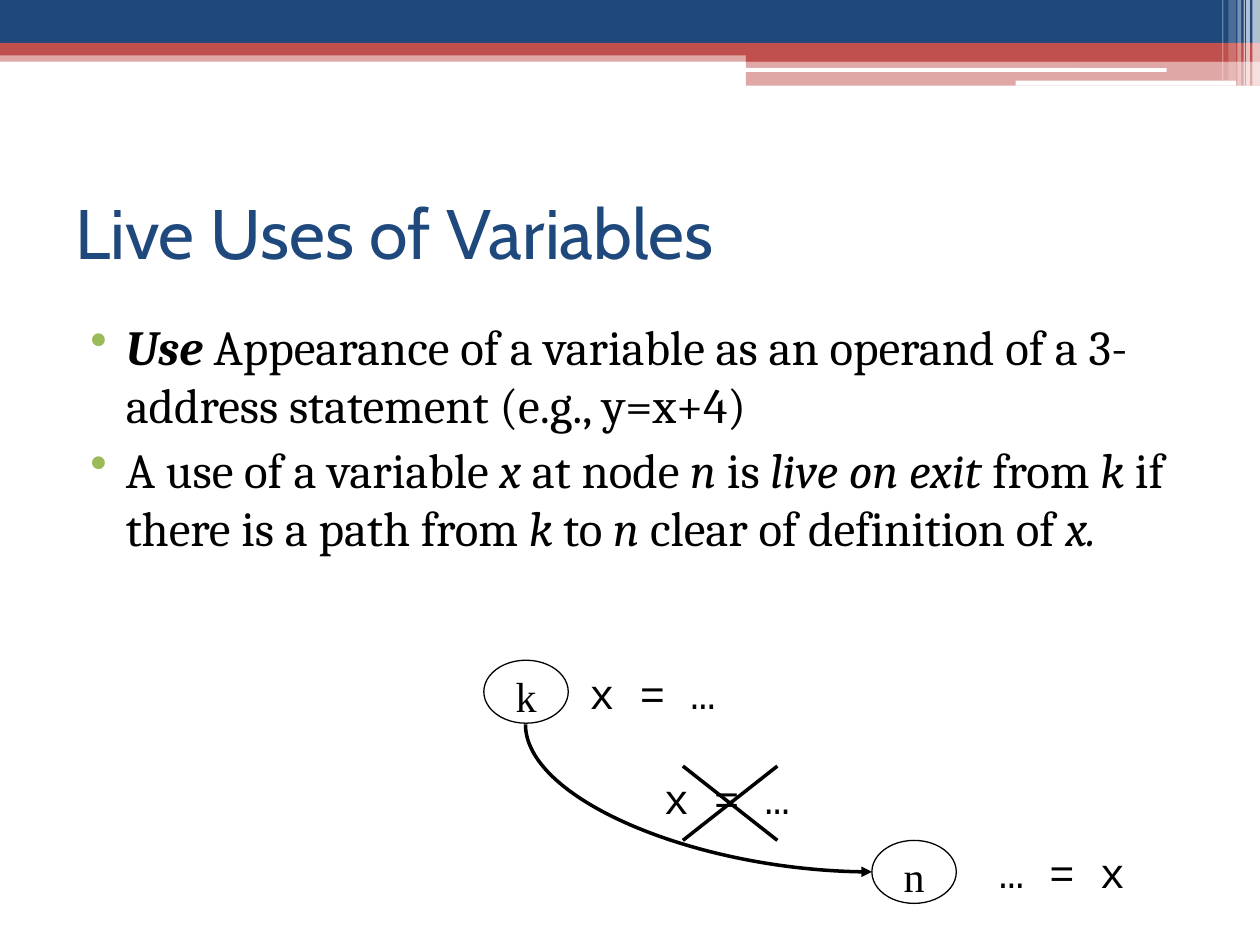
from lxml import etree
from pptx import Presentation
from pptx.dml.color import RGBColor
from pptx.enum import shapes, text
from pptx.oxml import ns
from pptx.util import Inches, Pt

COLORS = {"navy": "1F497D", "red": "C0504D", "green": "9BBB59",
          "white": "FFFFFF", "black": "000000"}
KIND = shapes.MSO_SHAPE


def color(name):
    return RGBColor.from_string(COLORS[name])


def add_node(parent, tag, **attributes):
    return etree.SubElement(parent, ns.qn(tag), attributes)


def add_band(page, place, fill, opacity=100, kind=KIND.RECTANGLE):
    """Borderless bar of the header, optionally see-through."""
    band = page.shapes.add_shape(kind, *map(Inches, place))
    band.shadow.inherit = False
    band.line.fill.background()
    band.fill.solid()
    band.fill.fore_color.rgb = color(fill)
    if opacity < 100:
        tint = band.fill._xPr.find(".//" + ns.qn("a:srgbClr"))
        add_node(tint, "a:alpha", val=str(opacity * 1000))


def add_span(para, words, font, size, ink="black", bold=False, italic=False):
    span = para.add_run()
    span.text = words
    span.font.name, span.font.size = font, Pt(size)
    span.font.bold, span.font.italic = bold, italic
    span.font.color.rgb = color(ink)


def add_box(page, place, wrap=True):
    box = page.shapes.add_textbox(*map(Inches, place))
    box.text_frame.word_wrap = wrap
    return box.text_frame


def add_bullet(para):
    props = para._p.get_or_add_pPr()
    props.set("marL", str(Inches(0.4)))
    props.set("indent", str(Inches(-0.28)))
    add_node(add_node(props, "a:buClr"), "a:srgbClr", val=COLORS["green"])
    add_node(props, "a:buChar", char="•")


def add_flow_node(page, left, top, label):
    node = page.shapes.add_shape(KIND.OVAL, Inches(left), Inches(top),
                                 Inches(0.67), Inches(0.5))
    node.shadow.inherit = False
    node.fill.background()
    node.line.color.rgb = color("black")
    node.line.width = Pt(0.75)
    frame = node.text_frame
    frame.word_wrap = False
    frame.margin_top, frame.margin_bottom = Inches(0.06), 0
    frame.vertical_anchor = text.MSO_ANCHOR.MIDDLE
    para = frame.paragraphs[0]
    para.alignment = text.PP_ALIGN.CENTER
    add_span(para, label, "Times New Roman", 24)


def add_code(page, left, top, code):
    frame = add_box(page, (left, top, 1.2, 0.5), wrap=False)
    add_span(frame.paragraphs[0], code, "Courier New", 24)


def add_line(page, start, end, kind=shapes.MSO_CONNECTOR.STRAIGHT):
    line = page.shapes.add_connector(kind, *map(Inches, (*start, *end)))
    line.line.color.rgb = color("black")
    line.line.width = Pt(2)
    add_node(line._element.spPr, "a:effectLst")
    return line


def add_curved_arrow(page, start, end):
    """Quarter curve that leaves downwards and arrives rightwards."""
    mid_x, mid_y = (start[0] + end[0]) / 2, (start[1] + end[1]) / 2
    half_w, half_h = (end[1] - start[1]) / 2, (end[0] - start[0]) / 2
    # Laid out unrotated (sides swapped), then turned by 270 degrees
    arrow = add_line(page, (mid_x + half_w, mid_y - half_h),
                     (mid_x - half_w, mid_y + half_h),
                     shapes.MSO_CONNECTOR.CURVE)
    props = arrow._element.spPr
    props.find(ns.qn("a:xfrm")).set("rot", str(270 * 60000))
    props.find(ns.qn("a:prstGeom")).set("prst", "curvedConnector2")
    add_node(props.find(ns.qn("a:ln")), "a:tailEnd", type="triangle")


def add_header(page):
    # Full-width bars
    add_band(page, (0, 0.4, 10, 0.09), "red", 50)
    add_band(page, (0, 0, 10, 0.34), "navy")
    add_band(page, (0, 0.34, 10, 0.1), "red")
    # Right-hand step with white slots
    add_band(page, (5.92, 0.39, 4.08, 0.1), "red")
    add_band(page, (5.92, 0.48, 4.08, 0.2), "red", 50)
    for slot in ((5.91, 0.54, 3.35, 0.03), (8.06, 0.64, 1.75, 0.04)):
        add_band(page, slot, "white", kind=KIND.ROUNDED_RECTANGLE)
    # Upright stripes: left, width, height, opacity
    for left, width, height, opacity in (
            (9.94, 0.06, 0.68, 65), (9.89, 0.03, 0.68, 65),
            (9.87, 0.01, 0.68, 60), (9.82, 0.03, 0.68, 40),
            (9.75, 0.06, 0.64, 20), (9.7, 0.01, 0.64, 30)):
        add_band(page, (left, 0, width, height), "white", opacity)


def add_body(page):
    # Each span: words, style (b bold, i italic)
    points = (
        (("Use ", "bi"),
         ("Appearance of a variable as an operand of a 3-address statement "
          "(e.g., y=x+4)", "")),
        (("A use of a variable ", ""), ("x ", "i"), ("at node ", ""),
         ("n ", "i"), ("is ", ""), ("live on exit ", "i"), ("from ", ""),
         ("k ", "i"), ("if there is a path from ", ""), ("k", "i"),
         (" to ", ""), ("n", "i"), (" clear of definition of ", ""),
         ("x.", "i")))
    frame = add_box(page, (0.5, 2.46, 9, 4.73))
    for index, spans in enumerate(points):
        para = frame.add_paragraph() if index else frame.paragraphs[0]
        add_bullet(para)
        para.space_before = Pt(3 if index else 0)
        for words, style in spans:
            add_span(para, words, "Cambria", 28,
                     bold="b" in style, italic="i" in style)


def add_diagram(page):
    add_flow_node(page, 3.84, 5.24, "k")
    add_flow_node(page, 6.92, 6.67, "n")
    add_code(page, 4.58, 5.25, "x = …")
    add_code(page, 7.83, 6.67, "… = x")
    add_code(page, 5.17, 6.08, "x = …")
    # Cross over the middle definition
    add_line(page, (6.17, 6.08), (5.42, 6.67))
    add_line(page, (5.42, 6.08), (6.17, 6.67))
    add_curved_arrow(page, (4.17, 5.75), (6.92, 6.92))


def main():
    deck = Presentation()
    deck.slide_width, deck.slide_height = Inches(10), Inches(7.5)
    page = deck.slides.add_slide(deck.slide_layouts[6])
    add_header(page)
    title = add_box(page, (0.5, 1.25, 9, 1.17))
    title.vertical_anchor = text.MSO_ANCHOR.MIDDLE
    add_span(title.paragraphs[0], "Live Uses of Variables", "Cabin", 40, "navy")
    add_body(page)
    add_diagram(page)
    deck.save("out.pptx")


if __name__ == "__main__":
    main()
